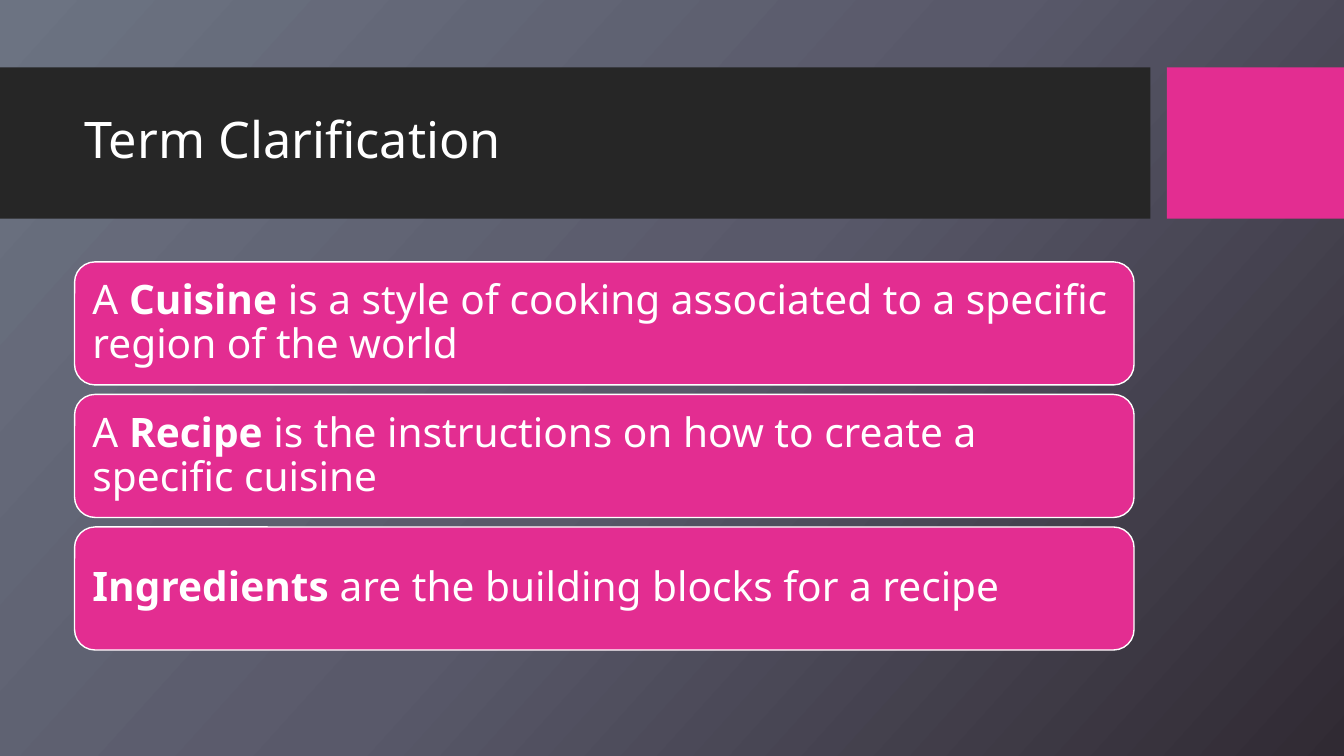
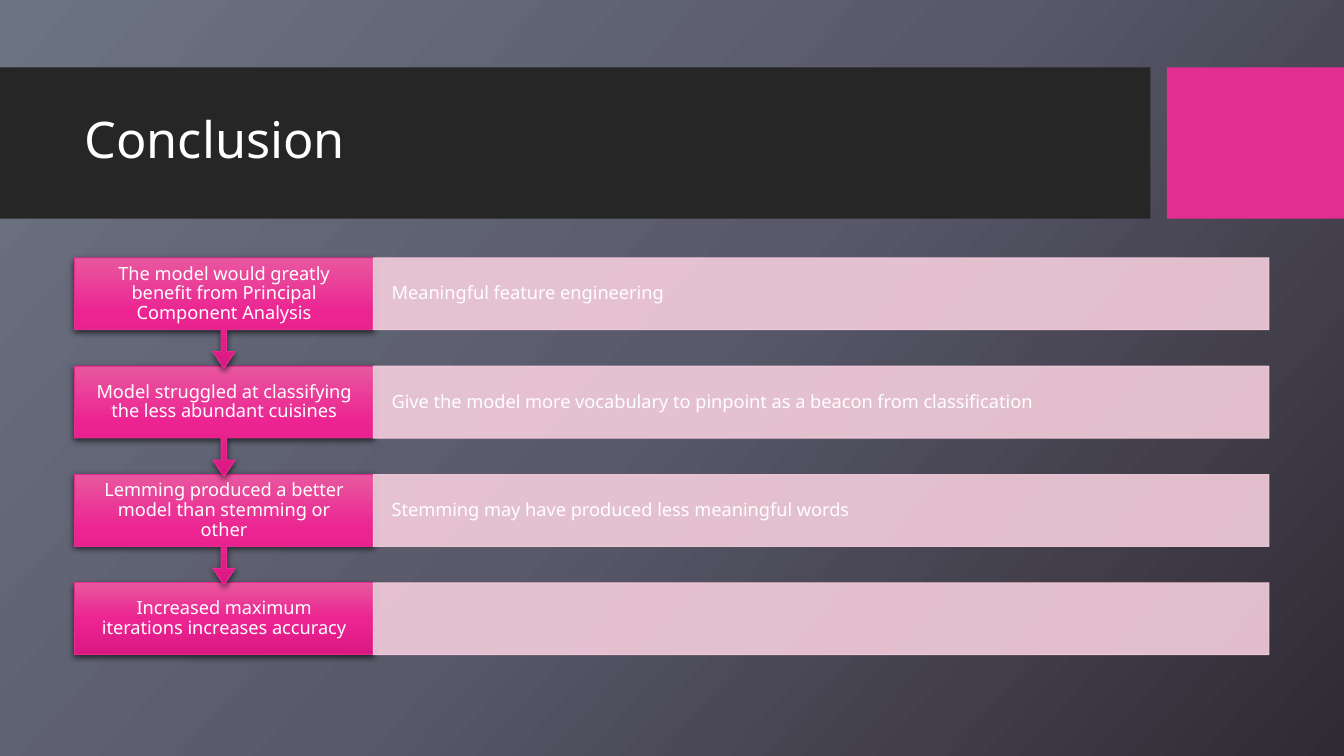
from copy import deepcopy
from dataclasses import dataclass

from lxml.etree import SubElement
from pptx import Presentation
from pptx.dml.color import RGBColor
from pptx.enum.shapes import MSO_SHAPE
from pptx.enum.text import MSO_ANCHOR, PP_ALIGN
from pptx.oxml.ns import qn
from pptx.util import Cm, Pt


@dataclass(frozen=True)
class Theme:
    font: str = "Noto Sans"
    white: str = "FFFFFF"
    band: str = "262626"
    accent: str = "E32D91"
    pale: str = "F4CDDC"
    shadow: str = "000000"
    backdrop: tuple = ("6C7382", "59596A", "302A33")
    gloss: tuple = ("E8579E", "EC2492", "DA1882")
    title_size: int = 36
    card_size: int = 29
    step_size: int = 13


theme = Theme()


def paint_gradient(fill, element, colours, angle):
    """Give a fill evenly spaced colour stops at a clockwise angle."""
    fill.gradient()
    fill.gradient_angle = 360 - angle
    stop_list = next(element.iter(qn("a:gsLst")))
    stop_list.insert(1, deepcopy(stop_list[0]))
    for index, (stop, colour) in enumerate(zip(fill.gradient_stops, colours)):
        stop.position = index / (len(colours) - 1)
        stop.color.rgb = RGBColor.from_string(colour)


def add_box(slide, place, kind=None, fill=None, line=None, line_width=0.75,
            runs=(), size=theme.step_size, margins=(0.25, 0.13), align=PP_ALIGN.LEFT):
    """Add a preset shape, or a text box without a kind; runs are (text, bold)."""
    lengths = [Cm(length) for length in place]
    if kind is None:
        shape = slide.shapes.add_textbox(*lengths)
    else:
        shape = slide.shapes.add_shape(kind, *lengths)
        shape.shadow.inherit = False
        if fill:
            shape.fill.solid()
            shape.fill.fore_color.rgb = RGBColor.from_string(fill)
        if line:
            shape.line.color.rgb = RGBColor.from_string(line)
            shape.line.width = Pt(line_width)
        else:
            shape.line.fill.background()
    frame = shape.text_frame
    frame.word_wrap = True
    frame.vertical_anchor = MSO_ANCHOR.MIDDLE
    frame.margin_left = frame.margin_right = Cm(margins[0])
    frame.margin_top = frame.margin_bottom = Cm(margins[1])
    paragraph = frame.paragraphs[0]
    paragraph.alignment = align
    paragraph.line_spacing = 0.9
    for text, bold in runs:
        run = paragraph.add_run()
        run.text = text
        run.font.name = theme.font
        run.font.size = Pt(size)
        run.font.bold = bold
        run.font.color.rgb = RGBColor.from_string(theme.white)
    return shape


presentation = Presentation()
presentation.slide_width = Cm(33.87)
presentation.slide_height = Cm(19.05)

# Shared background, bands and titles
margin_left, content_width = 1.88, 26.7
slides = []
for title in ("Term Clarification", "Conclusion"):
    slide = presentation.slides.add_slide(presentation.slide_layouts[6])
    paint_gradient(slide.background.fill, slide.element, theme.backdrop, 42)
    add_box(slide, (0, 1.7, 28.99, 3.81), MSO_SHAPE.RECTANGLE, theme.band)
    add_box(slide, (29.41, 1.7, 4.46, 3.81), MSO_SHAPE.RECTANGLE, theme.accent)
    add_box(slide, (margin_left, 2.08, content_width, 3),
            runs=[(title, False)], size=theme.title_size)
    slides.append(slide)
terms_slide, conclusion_slide = slides

# Term Clarification: three cards
definitions = [
    [("A ", False), ("Cuisine ", True),
     ("is a style of cooking associated to a specific region of the world", False)],
    [("A ", False), ("Recipe ", True),
     ("is the instructions on how to create a specific cuisine", False)],
    [("Ingredients ", True), ("are the building blocks for a recipe", False)],
]
card_top, card_height, card_pitch = 6.6, 3.1, 3.34
for index, runs in enumerate(definitions):
    add_box(terms_slide,
            (margin_left, card_top + index * card_pitch, content_width, card_height),
            MSO_SHAPE.ROUNDED_RECTANGLE, theme.accent, theme.white, 1,
            runs, theme.card_size, (0.3, 0.3))

# Conclusion: steps from last to first, so that each arrow lies over the next step
findings = [
    ("The model would greatly benefit from Principal Component Analysis",
     "Meaningful feature engineering"),
    ("Model struggled at classifying the less abundant cuisines",
     "Give the model more vocabulary to pinpoint as a beacon from classification"),
    ("Lemming produced a better model than stemming or other",
     "Stemming may have produced less meaningful words"),
    ("Increased maximum iterations increases accuracy", ""),
]
step_top, step_height, step_pitch, callout_height = 6.5, 1.81, 2.73, 2.78
step_width, detail_width = 7.53, 22.57
for index, (finding, detail) in reversed(list(enumerate(findings))):
    top = step_top + index * step_pitch
    is_last = index == len(findings) - 1
    step = add_box(
        conclusion_slide,
        (margin_left, top, step_width, step_height if is_last else callout_height),
        MSO_SHAPE.RECTANGLE if is_last else MSO_SHAPE.DOWN_ARROW_CALLOUT,
        line=theme.accent, runs=[(finding, False)],
        margins=(0.53, 0.25), align=PP_ALIGN.CENTER)
    if not is_last:
        for position, value in enumerate((0.05, 0.1, 0.15, 0.65)):
            step.adjustments[position] = value
    paint_gradient(step.fill, step.element, theme.gloss, 90)
    effects = next(step.element.iter(qn("a:effectLst")))
    shadow = SubElement(effects, qn("a:outerShdw"), blurRad=str(Pt(4.5)),
                        dist=str(Pt(1.5)), dir="5400000", rotWithShape="0")
    shadow_colour = SubElement(shadow, qn("a:srgbClr"), val=theme.shadow)
    SubElement(shadow_colour, qn("a:alpha"), val="63000")

    detail_box = add_box(
        conclusion_slide, (margin_left + step_width, top, detail_width, step_height),
        MSO_SHAPE.RECTANGLE, theme.pale, theme.pale,
        runs=[(detail, False)] if detail else (), margins=(0.46, 0.46))
    for colour in detail_box.element.spPr.iter(qn("a:srgbClr")):
        SubElement(colour, qn("a:alpha"), val="90000")

presentation.save("out.pptx")
